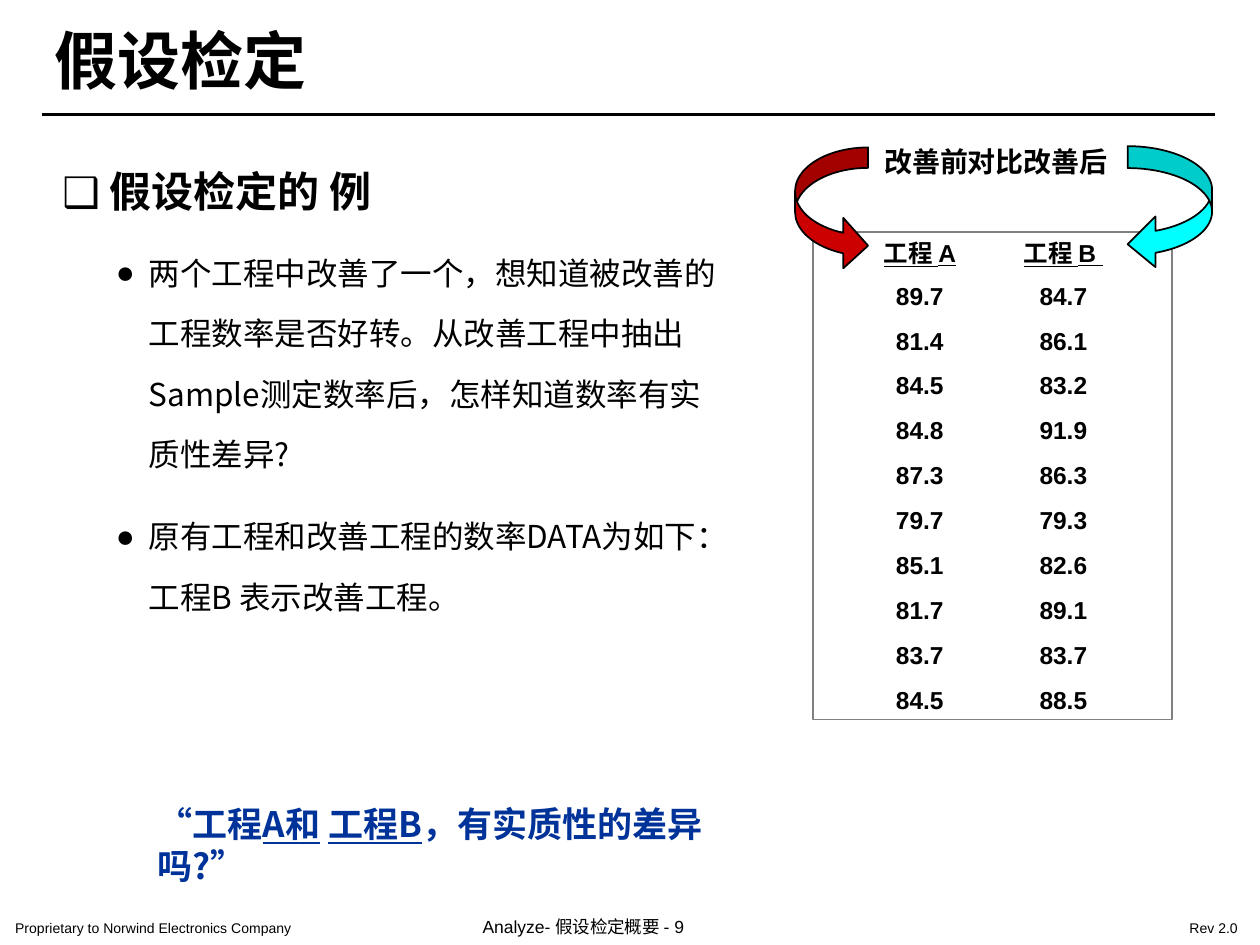
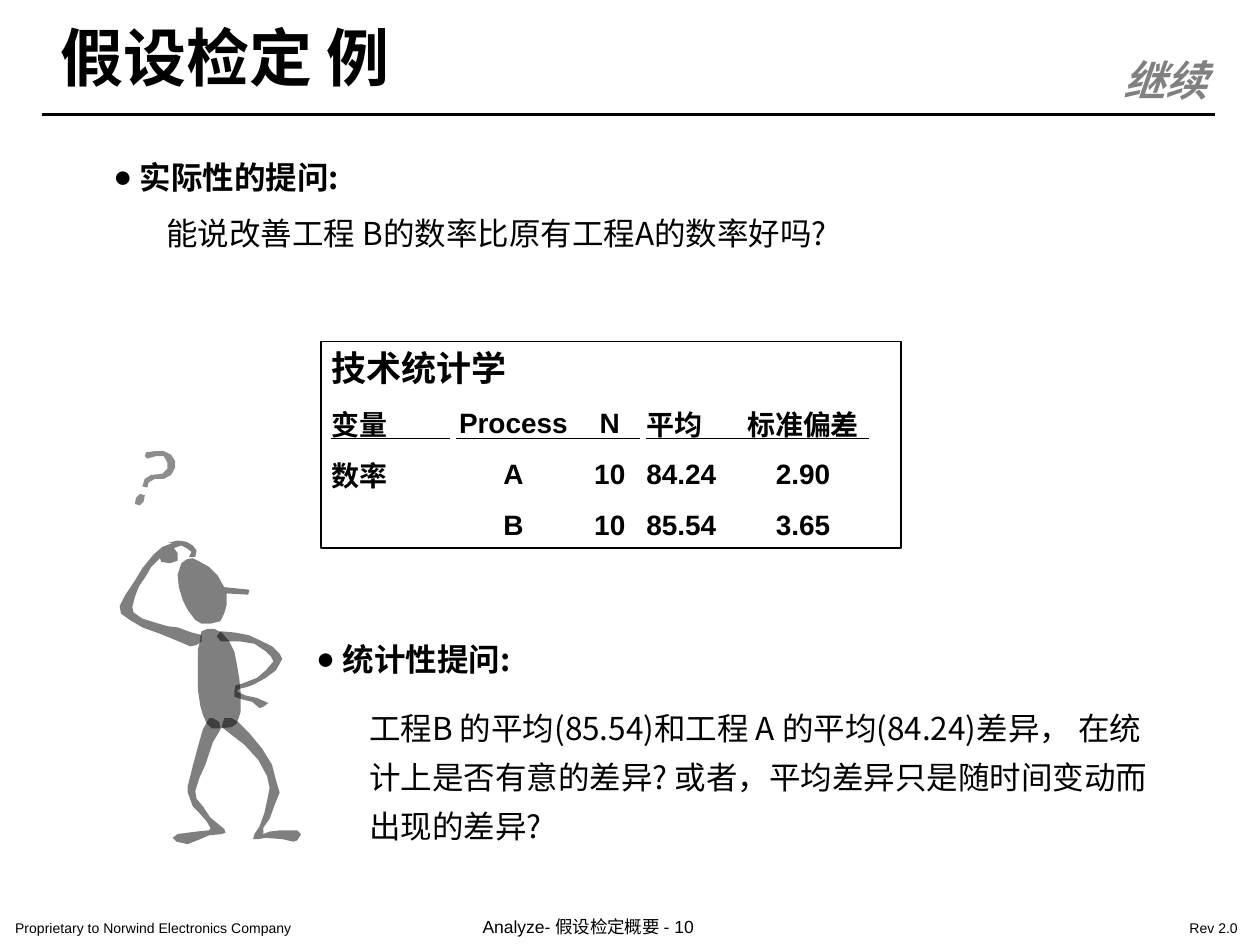
from pptx import Presentation
from pptx.dml.color import RGBColor
from pptx.enum import shapes, text
from pptx.oxml import ns, xmlchemy
from pptx.util import Inches, Pt

BLACK = RGBColor(0x00, 0x00, 0x00)
GRAY = RGBColor(0x80, 0x80, 0x80)
INK = RGBColor(0x1C, 0x1C, 0x1C)
BLUE = RGBColor(0x00, 0x33, 0x99)
RED = RGBColor(0xCC, 0x00, 0x00)
CYAN = RGBColor(0x00, 0xFF, 0xFF)
SANS = "Noto Sans CJK SC"
HEAD = "Noto Sans CJK KR"
LEFT, MID = text.PP_ALIGN.LEFT, text.PP_ALIGN.CENTER
TOP, CENTER = text.MSO_ANCHOR.TOP, text.MSO_ANCHOR.MIDDLE
KIND = shapes.MSO_SHAPE


def fit(shape, at, pad=(0.1, 0.05), anchor=TOP):
    """Place a shape and return its text frame, ready for writing."""
    shape.left, shape.top, shape.width, shape.height = map(Inches, at)
    frame = shape.text_frame
    frame.word_wrap = True
    frame.auto_size = text.MSO_AUTO_SIZE.NONE
    frame.vertical_anchor = anchor
    frame.margin_left = frame.margin_right = Inches(pad[0])
    frame.margin_top = frame.margin_bottom = Inches(pad[1])
    return frame


def say(frame, words, size=18, font="Arial", color=BLACK, bold=False, slant=False,
        align=LEFT, line=1.0, before=0, after=0, left=0, hang=0, mark=None):
    """Add a paragraph; words is a string or a list of (string, underlined)."""
    para = frame.paragraphs[0]
    if para.runs:
        para = frame.add_paragraph()
    para.alignment = align
    para.line_spacing = line
    para.space_before, para.space_after = Pt(before), Pt(after)
    props = para._p.get_or_add_pPr()
    props.set("marL", str(Inches(left)))
    props.set("indent", str(Inches(-hang)))
    if mark:
        xmlchemy.OxmlElement
        for tag, key, value in (("a:buFont", "typeface", "Arial"), ("a:buChar", "char", mark)):
            item = xmlchemy.OxmlElement(tag)
            item.set(key, value)
            props.append(item)
    else:
        props.append(xmlchemy.OxmlElement("a:buNone"))
    for part, under in [(words, False)] if isinstance(words, str) else words:
        run = para.add_run()
        run.text = part
        style = run.font
        style.size, style.name, style.bold, style.italic = Pt(size), font, bold, slant
        style.underline = under
        style.color.rgb = color
        asian = xmlchemy.OxmlElement("a:ea")
        asian.set("typeface", SANS if font == "Arial" else font)
        style._element.append(asian)


deck = Presentation()
deck.slide_width, deck.slide_height = Inches(10), Inches(7.5)
one = deck.slides.add_slide(deck.slide_layouts[1])
two = deck.slides.add_slide(deck.slide_layouts[3])

# Shared title, rule and footer
heads = [
    (one, "假设检定", (0.33, 0.12, 2.71, 0.7), TOP, 9),
    (two, "假设检定 例", (0.38, 0.09, 3.44, 0.72), CENTER, 10),
]
rules = [(one, 0.33, 9.64, 0.91, 1.5), (two, 0.33, 9.64, 0.91, 1.5)]
for page, title, at, anchor, num in heads:
    say(fit(page.shapes.title, at, anchor=anchor), title, size=36, font=HEAD, bold=True)
    for words, size, spot in (
        ("Proprietary to Norwind Electronics Company", 8, (0, 7.24, 3.21, 0.25)),
        (f"Analyze- 假设检定概要 - {num}", 10, (3.71, 7.21, 2.47, 0.29)),
        ("Rev 2.0", 8, (9.32, 7.24, 0.68, 0.25)),
    ):
        note = page.shapes.add_textbox(0, 0, 0, 0)
        say(fit(note, spot, pad=(0.12, 0.06)), words, size=size)

# Header underlines of the statistics table
rules += [(two, start, end, 3.48, 0.75)
          for start, end in ((2.63, 3.57), (3.62, 5.08), (5.13, 6.9))]

# Tables: page, top, row height, column edges, column alignments, size, rows
before = [89.7, 81.4, 84.5, 84.8, 87.3, 79.7, 85.1, 81.7, 83.7, 84.5]
later = [84.7, 86.1, 83.2, 91.9, 86.3, 79.3, 82.6, 89.1, 83.7, 88.5]
rates = [([("工程 A", True)], [("工程 B ", True)])]
rates += [(str(old), str(new)) for old, new in zip(before, later)]
stats = [
    ("变量", "Process", "N", "平均", "标准偏差"),
    ("数率", "A", "10", "84.24", "2.90"),
    ("", "B", "10", "85.54", "3.65"),
]
tables = [
    (one, 1.82, 3.92 / 11, (6.73, 7.87, 9.01), (MID, MID), 14, rates),
    (two, 3.16, 0.405, (2.63, 3.6, 4.55, 5.13, 5.85, 6.9),
     (LEFT, MID, MID, LEFT, MID), 16, stats),
]
for page, top, high, edges, aligns, size, rows in tables:
    grid = page.shapes.add_table(
        len(rows), len(aligns), Inches(edges[0]), Inches(top),
        Inches(edges[-1] - edges[0]), Inches(high * len(rows))).table
    grid.first_row = grid.horz_banding = False
    for col, (start, end) in zip(grid.columns, zip(edges, edges[1:])):
        col.width = Inches(end - start)
    for r, row in enumerate(rows):
        grid.rows[r].height = Inches(high)
        for c, words in enumerate(row):
            cell = grid.cell(r, c)
            cell.fill.background()
            cell.vertical_anchor = CENTER
            cell.margin_left = cell.margin_right = 0
            cell.margin_top = cell.margin_bottom = 0
            say(cell.text_frame, words, size=size, bold=True, align=aligns[c])

for page, start, end, y, width in rules:
    rule = page.shapes.add_connector(
        shapes.MSO_CONNECTOR.STRAIGHT, Inches(start), Inches(y), Inches(end), Inches(y))
    rule.line.color.rgb = BLACK
    rule.line.width = Pt(width)
    rule._element.find(ns.qn("p:spPr")).append(xmlchemy.OxmlElement("a:effectLst"))

# Frames round the tables
for page, at, color, words in (
    (one, (6.45, 1.84, 2.85, 3.87), GRAY, None),
    (two, (2.55, 2.71, 4.6, 1.64), BLACK, "技术统计学"),
):
    rect = page.shapes.add_shape(KIND.RECTANGLE, 0, 0, 0, 0)
    rect.shadow.inherit = False
    rect.fill.background()
    rect.line.color.rgb = color
    rect.line.width = Pt(1)
    frame = fit(rect, at, pad=(0.08, 0.04))
    if words:
        say(frame, words, size=20, bold=True)

# Slide 1: example
body = fit(one.placeholders[1], (0.33, 1.02, 5.57, 4.94), pad=(0.09, 0.05))
say(body, " ❑ 假设检定的 例", size=24, font=SANS, bold=True, line=1.6, after=9,
    left=0.38, hang=0.38)
for words in (
    "两个工程中改善了一个，想知道被改善的工程数率是否好转。从改善工程中抽出"
    "Sample测定数率后，怎样知道数率有实质性差异?",
    "原有工程和改善工程的数率DATA为如下： 工程B 表示改善工程。",
):
    say(body, words, font=SANS, line=1.6, after=12.4, left=0.76, hang=0.26, mark="●")

ask = fit(one.shapes.add_textbox(0, 0, 0, 0), (1.17, 6.33, 5.09, 0.75), pad=(0.08, 0.04))
say(ask, [("“工程", False), ("A和", True), (" ", False), ("工程B", True),
          ("，有实质性的差异吗?”", False)],
    size=20, font=SANS, color=BLUE, bold=True, before=5)

for kind, at, color, turns in (
    (KIND.CURVED_RIGHT_ARROW, (6.31, 1.17, 0.58, 0.98), RED, (0.28, 0.69, 0.34)),
    (KIND.CURVED_LEFT_ARROW, (8.95, 1.16, 0.67, 0.98), CYAN, (0.26, 0.6, 0.33)),
):
    arrow = one.shapes.add_shape(kind, *map(Inches, at))
    arrow.shadow.inherit = False
    arrow.fill.solid()
    arrow.fill.fore_color.rgb = color
    arrow.line.color.rgb = BLACK
    arrow.line.width = Pt(1)
    for i, turn in enumerate(turns):
        arrow.adjustments[i] = turn

label = one.shapes.add_textbox(0, 0, 0, 0)
say(fit(label, (6.92, 1.1, 2.1, 0.37)), "改善前对比改善后", size=16, bold=True)

# Slide 2: questions
for slot, at, head, words, lines, gap in (
    (1, (0.8, 1.14, 8.38, 1.29), "实际性的提问:",
     "能说改善工程 B的数率比原有工程A的数率好吗?", (1.2, 1.5), 0),
    (2, (2.41, 4.94, 6.98, 1.72), "统计性提问:",
     "工程B 的平均(85.54)和工程 A 的平均(84.24)差异， 在统计上是否有意的差异? "
     "或者，平均差异只是随时间变动而出现的差异?", (1.3, 1.3), 11.2),
):
    body = fit(two.placeholders[slot], at)
    say(body, head, font=SANS, bold=True, line=lines[0], before=gap,
        left=0.21, hang=0.21, mark="●")
    say(body, words, font=SANS, line=lines[1], before=gap, left=0.42)

more = two.shapes.add_textbox(0, 0, 0, 0)
say(fit(more, (8.8, 0.37, 1, 0.52), pad=(0.12, 0.06)), "继续", size=24, color=GRAY,
    bold=True, slant=True)

# Thinking figure: outlines in hundredths of an inch
query = [
    "116,359 123,358 130,358 136,361 139,366 139,371 136,377 130,380 123,380 118,383 "
    "117,387 113,386 115,380 120,377 129,376 133,372 133,367 130,362 124,362 117,364 115,362",
    "115,393 111,392 108,395 107,400 111,401 114,398",
]
head = ("171,455 166,450 159,446 153,443 148,444 144,447 141,456 142,466 145,476 149,484 "
        "155,492 160,495 167,495 175,493 178,487 180,480 180,471 197,472 198,468 178,466 173,457")
raised = ("133,431 141,429 148,430 153,433 156,437 155,442 150,442 152,438 148,435 144,433 "
          "138,435 141,439 141,445 135,447 128,446 127,443 120,450 116,457 110,466 107,474 "
          "105,482 106,486 113,491 126,495 133,497 141,498 152,502 160,504 160,509 156,512 "
          "151,513 144,510 127,503 113,498 103,492 96,487 95,481 99,473 107,461 113,451 "
          "122,440 129,434 137,431")
trunk = ("159,505 160,501 165,499 170,499 176,502 182,509 186,517 188,527 190,539 191,550 "
         "191,565 188,574 184,577 176,578 168,578 164,574 161,567 159,560 157,547 157,516 159,508")
bent = ("175,501 186,502 197,504 208,509 216,513 222,519 224,523 219,532 211,538 202,543 "
        "197,545 189,547 188,549 195,552 204,554 213,558 209,561 206,562 200,557 192,555 "
        "186,553 186,549 187,544 191,543 204,538 211,532 217,525 215,521 211,517 202,511 "
        "190,509 175,509 172,505")
right = ("184,570 178,570 176,577 181,581 194,591 205,603 212,616 214,625 213,631 210,645 "
         "206,656 202,662 201,666 205,666 211,665 224,666 233,668 236,667 239,662 236,659 "
         "223,659 214,660 209,662 209,657 214,650 218,639 222,629 219,619 216,607 208,594 "
         "198,582 189,573")
left = ("166,570 161,579 157,593 153,608 149,624 149,629 153,640 158,645 164,652 167,657 "
        "166,659 156,660 141,662 137,665 140,668 149,670 159,666 166,663 176,662 179,661 "
        "178,658 167,649 161,640 156,634 155,628 158,618 163,607 169,589 175,579 174,573 169,570")
for color, parts in ((INK, query), (BLACK, [head, raised, trunk, bent, right, left])):
    group = two.shapes.add_group_shape()
    for part in parts:
        dots = [tuple(map(int, dot.split(","))) for dot in part.split()]
        pen = group.shapes.build_freeform(*dots[0], scale=Inches(0.01))
        pen.add_line_segments(dots[1:], close=True)
        limb = pen.convert_to_shape()
        limb.shadow.inherit = False
        limb.line.fill.background()
        limb.fill.solid()
        limb.fill.fore_color.rgb = color
        alpha = xmlchemy.OxmlElement("a:alpha")
        alpha.set("val", "50000")
        limb._element.spPr.find(".//" + ns.qn("a:srgbClr")).append(alpha)

deck.save("out.pptx")
